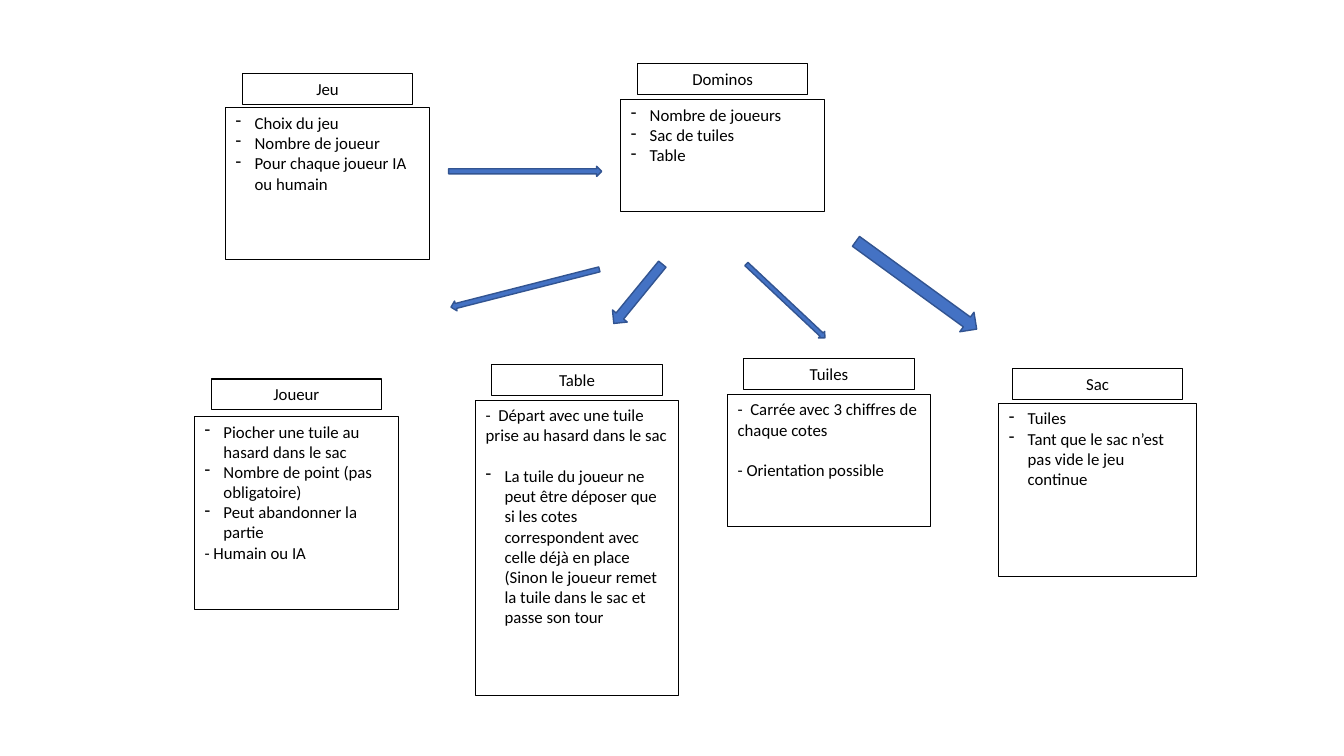
from pptx import Presentation
from pptx.dml.color import RGBColor
from pptx.enum import shapes, text
from pptx.oxml import xmlchemy
from pptx.util import Pt
from lxml import etree

HEAD_WIDTH, HEAD_HEIGHT = 121.7, 21.8
INDENT = Pt(13.5)
BLANK_LINE = 14.6
BULLET, PLAIN, SPACED_BULLET, SPACED_PLAIN = (
    (True, 0), (False, 0), (True, BLANK_LINE), (False, BLANK_LINE))

CLASSES = [
    ("Joueur", 270.7, (139, 297.4, 145.4, 138.2), [
        ("Piocher une tuile au hasard dans le sac", BULLET),
        ("Nombre de point (pas obligatoire)", BULLET),
        ("Peut abandonner la partie", BULLET),
        ("- Humain ou IA", PLAIN)]),
    ("Table", 260.6, (339.8, 285.8, 144.7, 211), [
        ("-  Départ avec une tuile prise au hasard dans le sac", PLAIN),
        ("La tuile du joueur ne peut être déposer que si les cotes "
         "correspondent avec celle déjà en place (Sinon le joueur remet "
         "la tuile dans le sac et passe son tour", SPACED_BULLET)]),
    ("Tuiles", 256.3, (519.8, 281.5, 144.7, 94.3), [
        ("-  Carrée avec 3 chiffres de chaque cotes", PLAIN),
        ("- Orientation possible", SPACED_PLAIN)]),
    ("Sac", 263.5, (713.5, 288, 141.1, 123.8), [
        ("Tuiles", BULLET),
        ("Tant que le sac n’est pas vide le jeu continue", BULLET)]),
    ("Jeu", 52.6, (161.3, 77, 145.4, 108.7), [
        ("Choix du jeu", BULLET),
        ("Nombre de joueur", BULLET),
        ("Pour chaque joueur IA ou humain", BULLET)]),
    ("Dominos", 45.4, (443.5, 71.3, 145.4, 79.9), [
        ("Nombre de joueurs", BULLET),
        ("Sac de tuiles", BULLET),
        ("Table", BULLET)]),
]

ARROWS = [
    ((320.4, 118.8, 109.4, 7.2), 0),
    ((320.4, 202.3, 109.4, 7.2), 165.7),
    ((428.4, 203, 54.7, 13.7), 129.3),
    ((522.7, 211.7, 77, 6.5), 43.2),
    ((601.2, 195.1, 106.6, 17.3), 36),
]


def apply(target, values):
    for name, value in values.items():
        setattr(target, name, value)


def paint(color_format, hex_color):
    color_format.rgb = RGBColor.from_string(hex_color)


def outline(shape, hex_color, width):
    paint(shape.line.color, hex_color)
    shape.line.width = Pt(width)


def add_dash(para):
    props = para._p.get_or_add_pPr()
    props.set("marL", str(INDENT))
    props.set("indent", str(-INDENT))
    bullet = etree.SubElement(props, xmlchemy.qn("a:buChar"))
    bullet.set("char", "-")


def add_box(page, place, items, align):
    box = page.shapes.add_textbox(*map(Pt, place))
    outline(box, "000000", 0.75)
    frame = box.text_frame
    apply(frame, {"word_wrap": True, "auto_size": text.MSO_AUTO_SIZE.NONE,
                  "vertical_anchor": text.MSO_ANCHOR.TOP})
    for index, (words, (dashed, gap)) in enumerate(items):
        para = frame.add_paragraph() if index else frame.paragraphs[0]
        apply(para, {"alignment": align, "space_before": Pt(gap)})
        if dashed:
            add_dash(para)
        span = para.add_run()
        span.text = words
        apply(span.font, {"name": "Calibri", "size": Pt(12)})
        paint(span.font.color, "000000")


def add_class(page, name, head_top, body, items):
    left, _, width, _ = body
    head = (left + (width - HEAD_WIDTH) / 2, head_top, HEAD_WIDTH, HEAD_HEIGHT)
    add_box(page, head, [(name, PLAIN)], text.PP_ALIGN.CENTER)
    add_box(page, body, items, text.PP_ALIGN.LEFT)


def add_arrow(page, place, angle):
    arrow = page.shapes.add_shape(
        shapes.MSO_SHAPE.RIGHT_ARROW, *map(Pt, place))
    arrow.rotation = angle
    arrow.shadow.inherit = False
    arrow.fill.solid()
    paint(arrow.fill.fore_color, "4472C4")
    outline(arrow, "325491", 1)


def main():
    deck = Presentation()
    apply(deck, {"slide_width": Pt(960), "slide_height": Pt(540)})
    page = deck.slides.add_slide(deck.slide_layouts[6])
    for game_class in CLASSES:
        add_class(page, *game_class)
    for arrow in ARROWS:
        add_arrow(page, *arrow)
    deck.save("out.pptx")


main()
